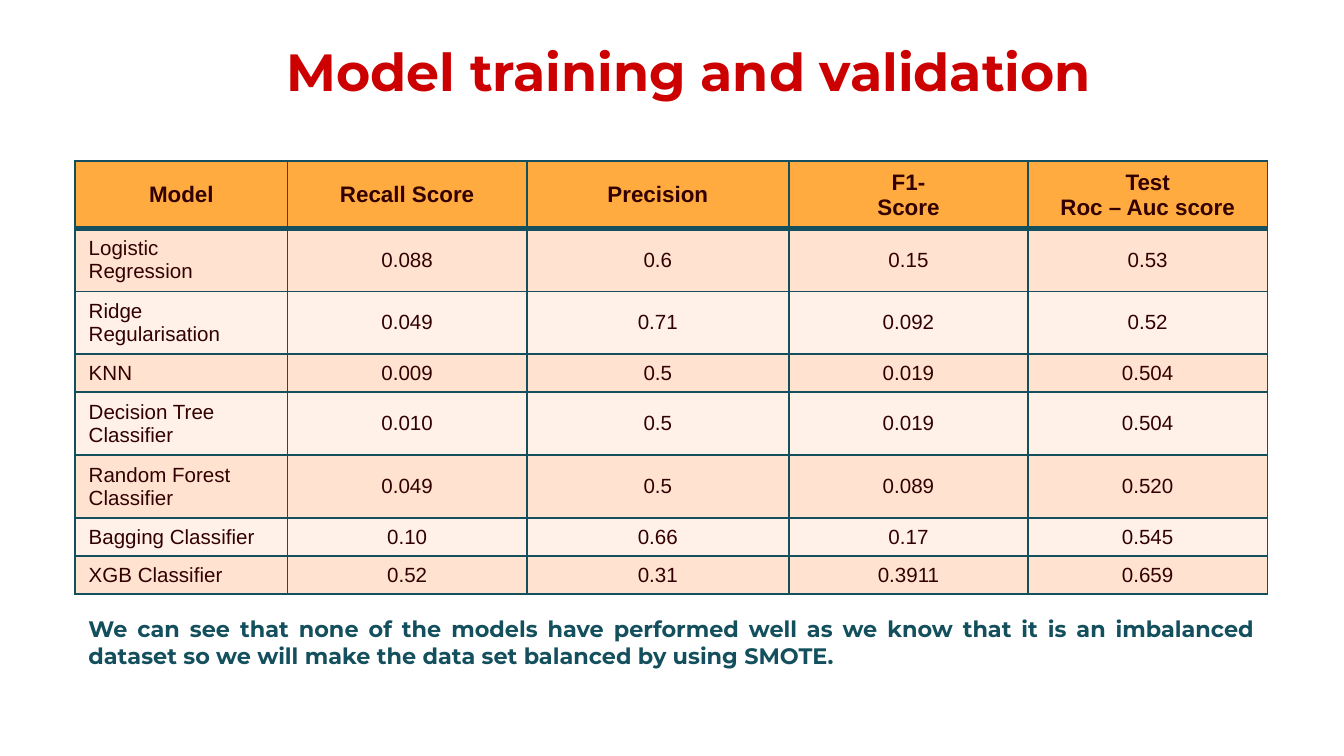
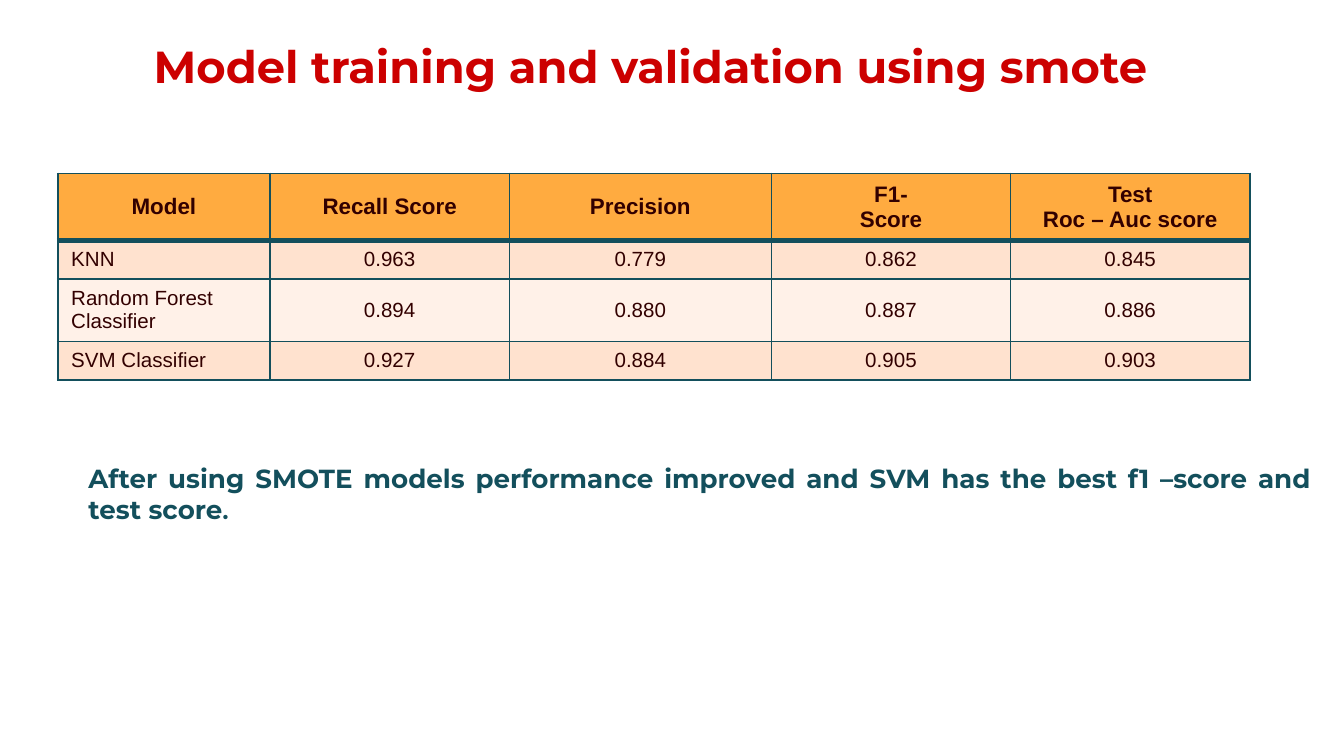
from lxml.etree import SubElement
from pptx import Presentation
from pptx.dml.color import RGBColor
from pptx.enum.text import MSO_ANCHOR as Anchor, MSO_AUTO_SIZE as AutoSize, PP_ALIGN as Align
from pptx.oxml.ns import qn
from pptx.util import Emu, Pt

PX = 4572
RED, TEAL, BROWN = "CC0000", "134F5C", "320000"
HEADER_FILL, BAND_FILLS = "FFAB40", ("FFE2CF", "FFF1E8")
HEADINGS = ("Model", "Recall Score", "Precision", "F1-\nScore", "Test\nRoc – Auc score")
COLUMNS = (316, 356, 390, 356, 356)
HEADER_ROW, SHORT_ROW, TALL_ROW = 58, 48, 72
LONGEST_LINE = 18

BASELINE_SCORES = (
    ("Logistic\nRegression", "0.088", "0.6", "0.15", "0.53"),
    ("Ridge Regularisation", "0.049", "0.71", "0.092", "0.52"),
    ("KNN", "0.009", "0.5", "0.019", "0.504"),
    ("Decision Tree Classifier", "0.010", "0.5", "0.019", "0.504"),
    ("Random Forest Classifier", "0.049", "0.5", "0.089", "0.520"),
    ("Bagging Classifier", "0.10", "0.66", "0.17", "0.545"),
    ("XGB Classifier", "0.52", "0.31", "0.3911", "0.659"),
)
SMOTE_SCORES = (
    ("KNN", "0.963", "0.779", "0.862", "0.845"),
    ("Random Forest Classifier", "0.894", "0.880", "0.887", "0.886"),
    ("SVM Classifier", "0.927", "0.884", "0.905", "0.903"),
)


def px(length):
    """Turn px into EMU."""
    return Emu(length * PX)


def colour(hex_code):
    """Turn a hex string into a colour."""
    return RGBColor.from_string(hex_code)


def write(frame, text, *, size, ink, font="Montserrat", bold=True, align=Align.CENTER,
          ending="", ending_size=12):
    """Write one paragraph per line, with an optional ending in its own size."""
    frame.word_wrap = True
    for index, line in enumerate(text.split("\n")):
        paragraph = frame.paragraphs[0] if index == 0 else frame.add_paragraph()
        paragraph.alignment = align
        for words, points in ((line, size), (ending, ending_size)):
            if words:
                run = paragraph.add_run()
                run.text = words
                run.font.name = font
                run.font.size = Pt(points)
                run.font.bold = bold
                run.font.color.rgb = colour(ink)


def add_title(slide, box, text, size):
    """Add the red slide title."""
    frame = slide.shapes.add_textbox(*map(px, box)).text_frame
    frame.margin_left = frame.margin_right = frame.margin_top = frame.margin_bottom = px(20)
    write(frame, text, size=size, ink=RED)


def add_finding(slide, box, text, size, ending=""):
    """Add the justified finding below the scores."""
    frame = slide.shapes.add_textbox(*map(px, box)).text_frame
    write(frame, text, size=size, ink=TEAL, align=Align.JUSTIFY, ending=ending)
    frame.auto_size = AutoSize.SHAPE_TO_FIT_TEXT


def add_borders(cell, top, bottom):
    """Draw the teal borders of a cell, with widths in points."""
    properties = cell._tc.get_or_add_tcPr()
    for side, width in (("L", 1), ("R", 1), ("T", top), ("B", bottom)):
        line = SubElement(properties, qn(f"a:ln{side}"), w=str(Pt(width)))
        fill = SubElement(line, qn("a:solidFill"))
        SubElement(fill, qn("a:srgbClr"), val=TEAL)


def add_scores(slide, corner, scores):
    """Add the table of model scores with its top left at the corner."""
    heights = [HEADER_ROW] + [TALL_ROW if len(row[0]) > LONGEST_LINE else SHORT_ROW
                              for row in scores]
    size = sum(COLUMNS), sum(heights)
    table = slide.shapes.add_table(len(heights), len(COLUMNS), *map(px, (*corner, *size))).table
    table.horz_banding = table.first_row = False
    for column, width in zip(table.columns, COLUMNS):
        column.width = px(width)
    for r, (height, values) in enumerate(zip(heights, (HEADINGS, *scores))):
        table.rows[r].height = px(height)
        header = r == 0
        for c, value in enumerate(values):
            cell = table.cell(r, c)
            cell.vertical_anchor = Anchor.MIDDLE
            add_borders(cell, top=3 if r == 1 else 1, bottom=3 if header else 1)
            cell.fill.solid()
            cell.fill.fore_color.rgb = colour(HEADER_FILL if header else BAND_FILLS[(r - 1) % 2])
            write(cell.text_frame, value, size=12 if header else 11, ink=BROWN, font="Arial",
                  bold=header, align=Align.CENTER if header or c else Align.LEFT)


def main():
    """Build both slides and save them."""
    deck = Presentation()
    deck.slide_width, deck.slide_height = px(2000), px(1125)
    blank = deck.slide_layouts[6]

    baseline = deck.slides.add_slide(blank)
    add_title(baseline, (232, 38, 1586, 126), "Model training and validation", 28)
    add_scores(baseline, (112, 240), BASELINE_SCORES)
    add_finding(baseline, (112, 906, 1776, 100),
                "We can see that none of the models have performed well as we know that it is "
                "an imbalanced dataset so we will make the data set balanced by using SMOTE.", 12)

    smote = deck.slides.add_slide(blank)
    add_title(smote, (94, 38, 1748, 126), "Model training and validation using smote", 24)
    add_scores(smote, (86, 258), SMOTE_SCORES)
    add_finding(smote, (112, 678, 1860, 114),
                "After using SMOTE models performance improved and SVM has the best f1 –score "
                "and test score", 14, ending=".")

    deck.save("out.pptx")


if __name__ == "__main__":
    main()
